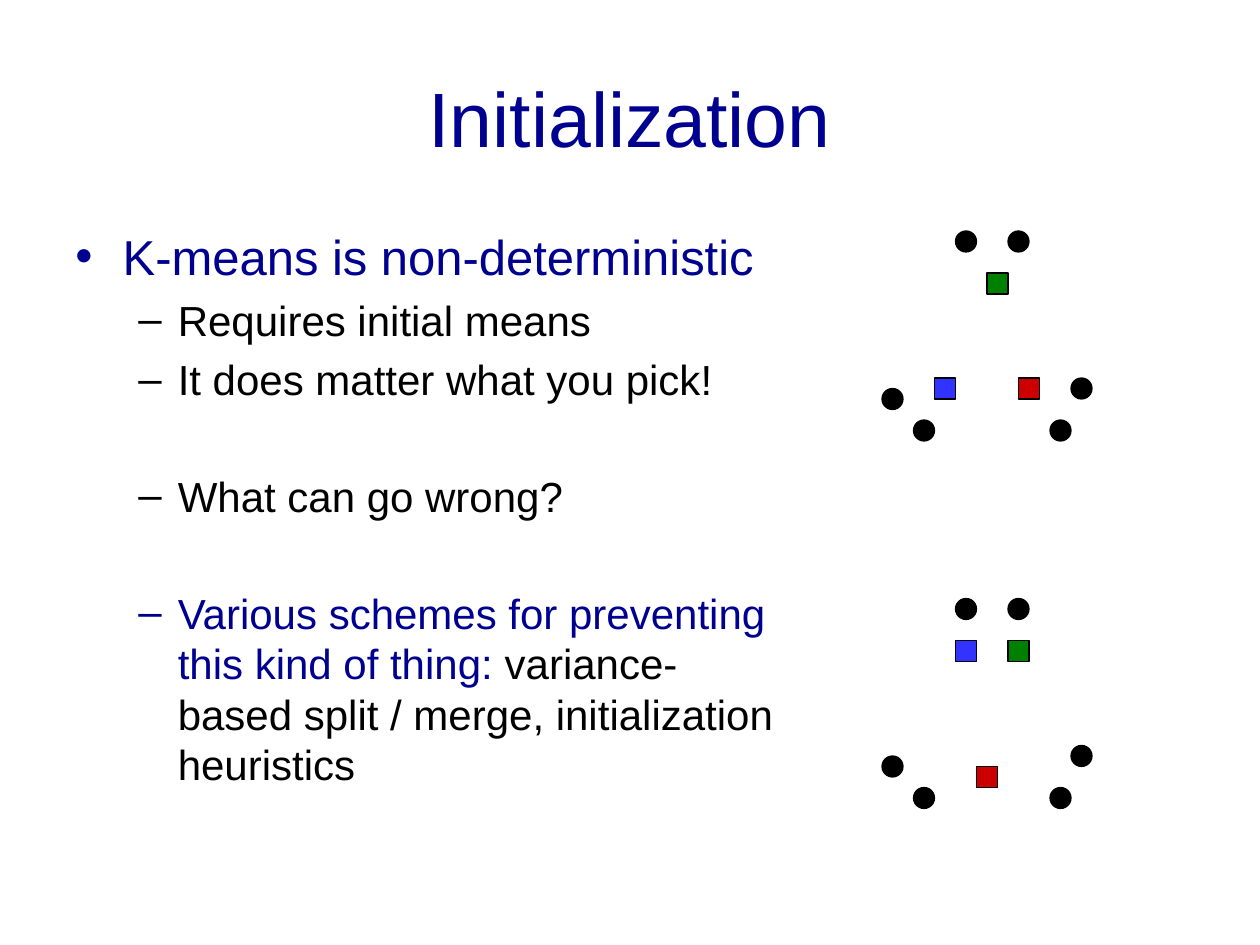
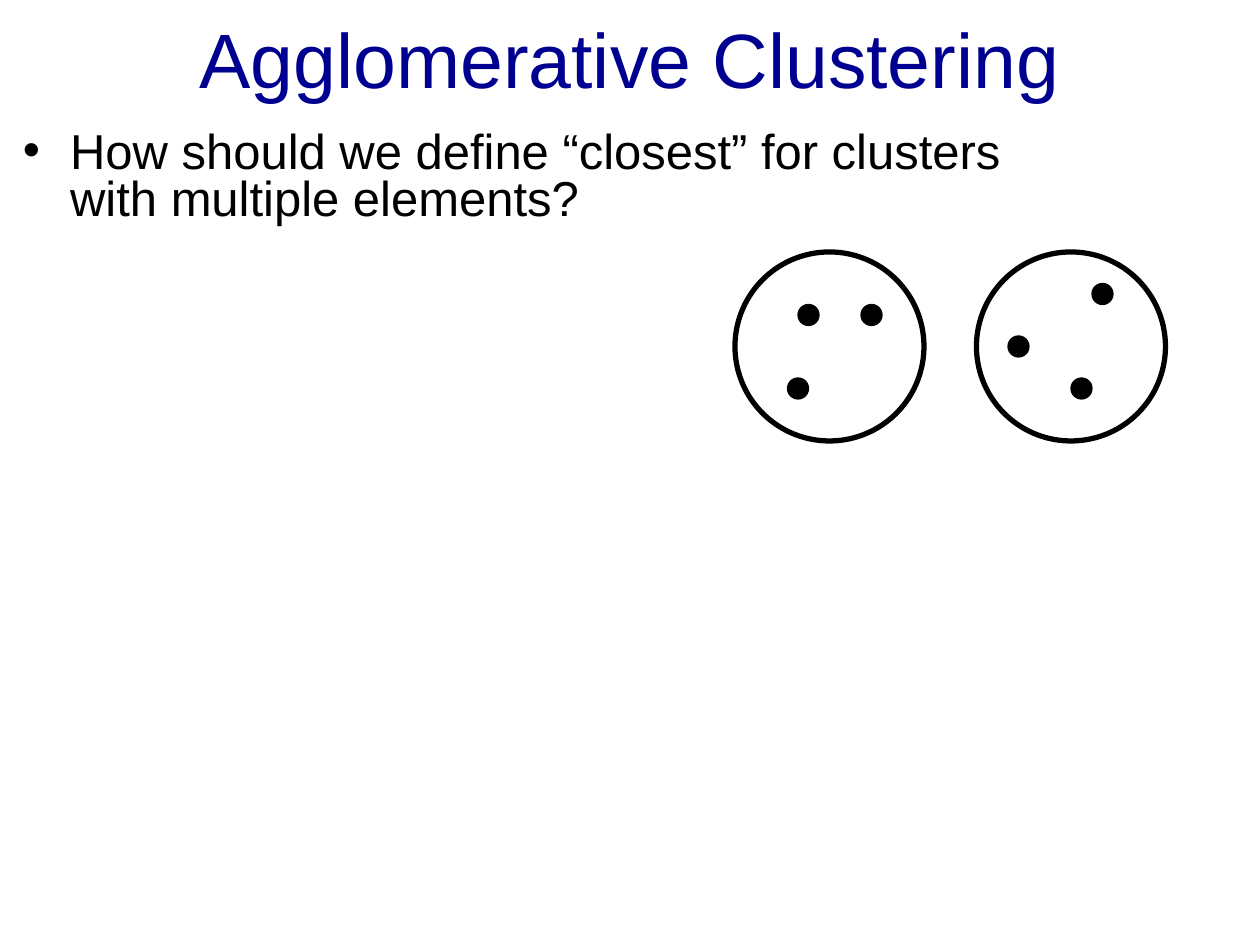
"""Build two slides on starting k-means and on agglomerative clustering."""
from pptx import Presentation
from pptx.dml.color import RGBColor
from pptx.enum.shapes import MSO_SHAPE
from pptx.enum.text import MSO_ANCHOR, PP_ALIGN
from pptx.oxml.ns import qn
from pptx.util import Pt
from lxml.etree import SubElement

HUES = {"navy": "000090", "black": "000000", "red": "CC0000",
        "blue": "3333FF", "green": "008000"}
FONT = "Arial"
PX = 9525
MARK = 16
RING = 144
LEVELS = [{"size": 28, "left": 36, "hang": 36, "sign": "•"},
          {"size": 24, "left": 78, "hang": 30, "sign": "–"}]
NEAR, FAR = 5, 38

POINTS = [(672, 296), (696, 320), (768, 176), (800, 320), (816, 288), (728, 176)]
SLIDES = [
    {"title": "Initialization", "top": 29, "body": (48, 168, 560, 475), "pitch": 1.0,
     "text": [
         (0, NEAR, [("K-means is non-deterministic", "navy")]),
         (1, NEAR, [("Requires initial means", "black")]),
         (1, NEAR, [("It does matter what you pick!", "black")]),
         (1, FAR, [("What can go wrong?", "black")]),
         (1, FAR, [("Various schemes for preventing this kind of thing: ", "navy"),
                   ("variance-based split / merge, initialization heuristics", "black")])],
     "rings": [],
     "plots": [
         (0, POINTS, {"red": (776, 288), "blue": (712, 288), "green": (752, 208)}),
         (280, POINTS, {"red": (744, 304), "blue": (728, 208), "green": (768, 208)})]},
    {"title": "Agglomerative Clustering", "top": -16, "body": (8, 96, 824, 576), "pitch": 0.8,
     "text": [
         (0, NEAR, [("How should we define “closest” for clusters with multiple elements?",
                     "black")])],
     "rings": [(744, 192), (560, 192)],
     "plots": [
         (0, [(608, 232), (600, 288), (768, 256), (816, 288), (832, 216), (656, 232)], {})]},
]


def scale(*box):
    return [n * PX for n in box]


def hue(name):
    return RGBColor.from_string(HUES[name])


def add_run(para, text, size, color):
    run = para.add_run()
    run.text = text
    run.font.name = FONT
    run.font.size = Pt(size)
    run.font.color.rgb = hue(color)


def add_frame(slide, box):
    frame = slide.shapes.add_textbox(*scale(*box)).text_frame
    frame.word_wrap = True
    return frame


def add_title(slide, text, top):
    frame = add_frame(slide, (48, top, 864, 120))
    frame.vertical_anchor = MSO_ANCHOR.MIDDLE
    para = frame.paragraphs[0]
    para.alignment = PP_ALIGN.CENTER
    add_run(para, text, 44, "navy")


def add_body(slide, box, items, pitch):
    frame = add_frame(slide, box)
    for i, (level, gap, runs) in enumerate(items):
        para = frame.add_paragraph() if i else frame.paragraphs[0]
        style = LEVELS[level]
        para.level = level
        para.line_spacing = pitch
        para.space_before = Pt(gap)
        props = para._p.get_or_add_pPr()
        props.set("marL", str(style["left"] * PX))
        props.set("indent", str(-style["hang"] * PX))
        SubElement(props, qn("a:buFont")).set("typeface", FONT)
        SubElement(props, qn("a:buChar")).set("char", style["sign"])
        for text, color in runs:
            add_run(para, text, style["size"], color)


def add_mark(slide, kind, spot, side=MARK, fill=None, width=0.75):
    shape = slide.shapes.add_shape(kind, *scale(*spot, side, side))
    shape.shadow.inherit = False
    if fill:
        shape.fill.solid()
        shape.fill.fore_color.rgb = hue(fill)
    else:
        shape.fill.background()
    shape.line.color.rgb = hue("black")
    shape.line.width = Pt(width)


def add_plot(slide, drop, dots, means):
    for x, y in dots:
        add_mark(slide, MSO_SHAPE.OVAL, (x, y + drop), fill="black")
    for color, (x, y) in means.items():
        add_mark(slide, MSO_SHAPE.RECTANGLE, (x, y + drop), fill=color)


def main():
    deck = Presentation()
    deck.slide_width, deck.slide_height = scale(960, 720)
    for data in SLIDES:
        slide = deck.slides.add_slide(deck.slide_layouts[6])
        add_title(slide, data["title"], data["top"])
        add_body(slide, data["body"], data["text"], data["pitch"])
        for spot in data["rings"]:
            add_mark(slide, MSO_SHAPE.OVAL, spot, RING, width=3)
        for plot in data["plots"]:
            add_plot(slide, *plot)
    deck.save("out.pptx")


if __name__ == "__main__":
    main()
